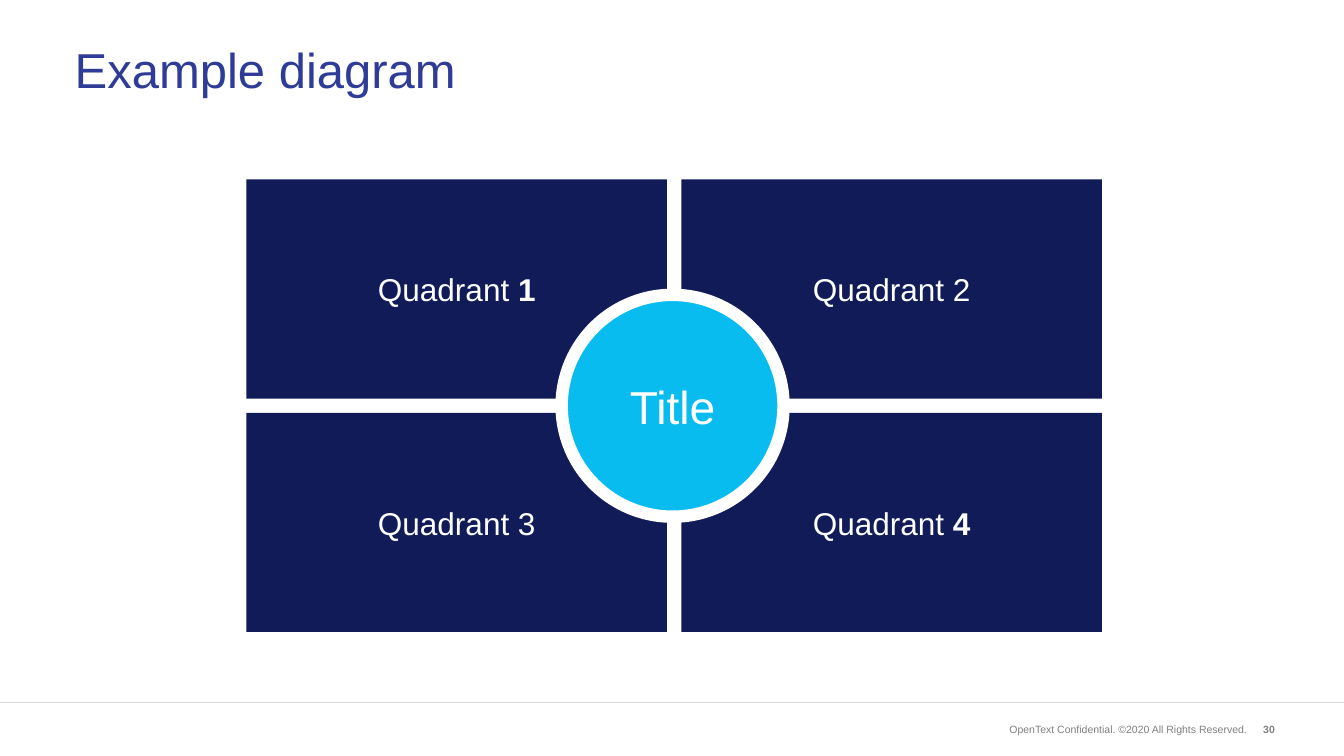
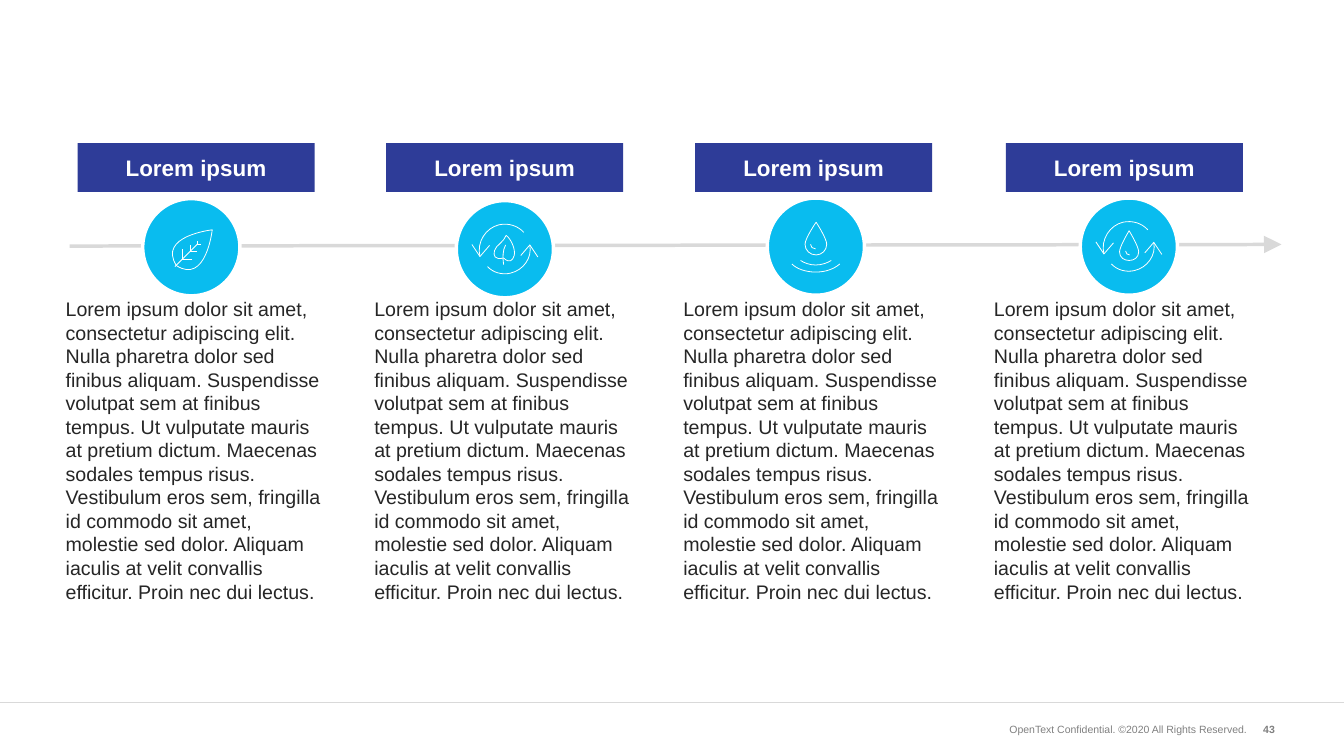
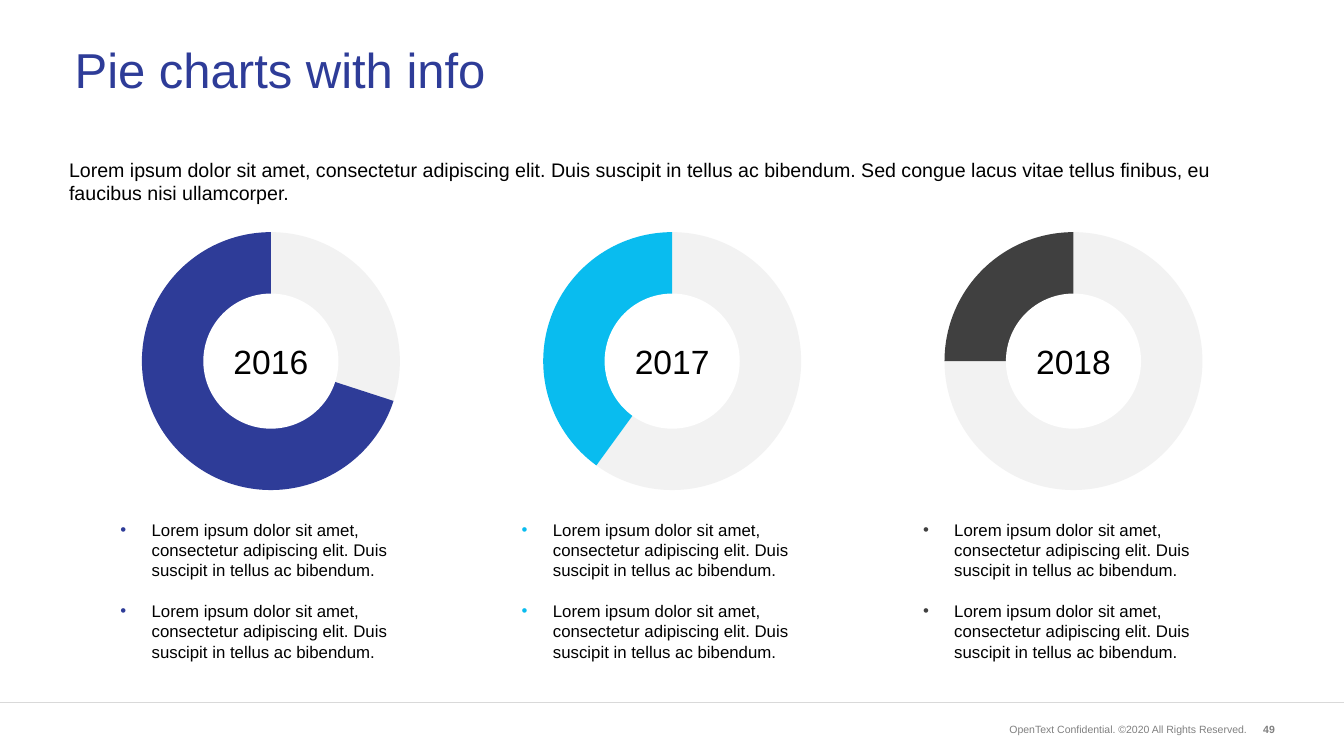
from lxml.etree import SubElement
from pptx import Presentation
from pptx.chart.data import CategoryChartData
from pptx.dml.color import RGBColor
from pptx.enum.chart import XL_CHART_TYPE
from pptx.enum.shapes import MSO_CONNECTOR, MSO_SHAPE
from pptx.enum.text import MSO_ANCHOR, MSO_AUTO_SIZE, PP_ALIGN
from pptx.oxml.ns import qn
from pptx.util import Cm, Pt

FONT = "Arial"
WIDE, HIGH = 67.72, 38.1
WHITE, BLACK = "FFFFFF", "000000"
NAVY, BLUE, CYAN = "111B58", "2E3C98", "09BCEF"
DARK, GREY, RULE, PALE = "404040", "808080", "D9D9D9", "F2F2F2"
BODY = "262626"
LEFT, MID, RIGHT = PP_ALIGN.LEFT, PP_ALIGN.CENTER, PP_ALIGN.RIGHT
TOP, HALF = MSO_ANCHOR.TOP, MSO_ANCHOR.MIDDLE

LOREM = "Lorem ipsum dolor sit amet, consectetur adipiscing elit. "
STORY = LOREM + (
    "Nulla pharetra dolor sed finibus aliquam. Suspendisse volutpat sem at "
    "finibus tempus. Ut vulputate mauris at pretium dictum. Maecenas sodales "
    "tempus risus. Vestibulum eros sem, fringilla id commodo sit amet, "
    "molestie sed dolor. Aliquam iaculis at velit convallis efficitur. "
    "Proin nec dui lectus.")
POINT = LOREM + "Duis suscipit in tellus ac bibendum."
INTRO = POINT + (" Sed congue lacus vitae tellus finibus, "
                 "eu faucibus nisi ullamcorper.")

GRID = 193
CYCLE = [
    ("line", [(31, 87), (47, 111), (66, 89)]),
    ("line", [(162, 112), (146, 88), (128, 109)]),
    ("curve", [(146, 88), (151, 114), (133, 138), (108, 144),
               (91, 148), (73, 143), (62, 131)]),
    ("curve", [(47, 111), (40, 82), (59, 54), (85, 48),
               (104, 44), (122, 50), (134, 63)]),
]
LEAF = [
    ("line", [(109, 90), (64, 135)]),
    ("curve", [(138, 62), (138, 62), (126, 171), (67, 133),
               (29, 74), (138, 62), (138, 62)]),
    ("line", [(98, 120), (79, 120), (79, 101)]),
    ("line", [(107, 105), (94, 105), (94, 92)]),
    ("line", [(115, 90), (109, 90), (109, 84)]),
]
SPROUT = CYCLE + [
    ("curve", [(76, 99), (73, 109), (76, 118), (94, 114), (106, 125),
               (112, 119), (115, 109), (118, 98), (109, 76), (99, 69),
               (94, 83), (79, 88), (76, 99)]),
    ("curve", [(94, 127), (92, 114), (92, 98), (98, 88)]),
]
POND = [
    ("curve", [(118, 92), (118, 104), (108, 113), (97, 113), (85, 113),
               (75, 104), (75, 92), (75, 80), (97, 48), (97, 48),
               (97, 48), (118, 80), (118, 92)]),
    ("curve", [(96, 101), (90, 101), (86, 97), (86, 92)]),
    ("curve", [(127, 124), (119, 129), (108, 133), (96, 133),
               (84, 133), (74, 129), (66, 124)]),
    ("curve", [(144, 131), (132, 141), (116, 147), (96, 147),
               (77, 147), (59, 141), (49, 131)]),
]
WATER = CYCLE + [
    ("curve", [(116, 107), (116, 118), (107, 124), (97, 124), (87, 124),
               (78, 118), (78, 107), (78, 96), (97, 65), (97, 65),
               (97, 65), (116, 96), (116, 107)]),
    ("curve", [(98, 113), (94, 113), (90, 110), (90, 105)]),
]


def ink(code):
    """Turn a hex string into a colour."""
    return RGBColor.from_string(code)


def style(run, size, color, bold=False):
    """Format one run."""
    font = run.font
    font.name, font.size, font.bold = FONT, Pt(size), bold
    font.color.rgb = ink(color)


def write(shape, text, size, color, bold=False, align=LEFT, anchor=HALF,
          pad=(0.25, 0.13)):
    """Fill a shape with one formatted paragraph and return it."""
    frame = shape.text_frame
    frame.text = text
    frame.word_wrap = True
    frame.auto_size = MSO_AUTO_SIZE.NONE
    frame.vertical_anchor = anchor
    frame.margin_left = frame.margin_right = Cm(pad[0])
    frame.margin_top = frame.margin_bottom = Cm(pad[1])
    para = frame.paragraphs[0]
    para.alignment = align
    style(para.runs[0], size, color, bold)
    return para


def label(slide, box, *args, **look):
    """Add a text box and return its paragraph."""
    return write(slide.shapes.add_textbox(*map(Cm, box)), *args, **look)


def block(shapes, kind, box, fill, edge=0):
    """Add a flat filled shape with an optional white edge."""
    shape = shapes.add_shape(kind, *map(Cm, box))
    shape.shadow.inherit = False
    shape.fill.solid()
    shape.fill.fore_color.rgb = ink(fill)
    if edge:
        shape.line.color.rgb = ink(WHITE)
        shape.line.width = Pt(edge)
    else:
        shape.line.fill.background()
    return shape


def rule(slide, ends, width, arrow=False):
    """Draw a grey line, with an arrowhead if asked."""
    line = slide.shapes.add_connector(MSO_CONNECTOR.STRAIGHT, *map(Cm, ends))
    line.line.color.rgb = ink(RULE)
    line.line.width = Pt(width)
    if arrow:
        SubElement(line.line._get_or_add_ln(), qn("a:tailEnd"),
                   type="triangle", w="lg", len="lg")
    SubElement(line._element.spPr, qn("a:effectLst"))


def start(deck, page, title=None):
    """Add a slide with its footer and title."""
    slide = deck.slides.add_slide(deck.slide_layouts[5 if title else 6])
    label(slide, (49.45, 36.32, 13.64, 0.89),
          "OpenText Confidential. ©2020 All Rights Reserved.", 15, GREY,
          align=RIGHT)
    label(slide, (62.69, 36.32, 1.8, 0.89), str(page), 15, GREY, bold=True,
          align=RIGHT, anchor=TOP)
    rule(slide, (0, 35.41, WIDE, 35.41), 1)
    if title:
        head = slide.shapes.title
        head.left, head.top, head.width, head.height = map(
            Cm, (3.51, 0.97, 60.73, 5.38))
        write(head, title, 70, BLUE).line_spacing = 0.9
    return slide


def quads(slide, box, gap=0.72):
    """Draw four quadrants around a central disc."""
    x, y, w, h = box
    wide, high = (w - gap) / 2, (h - gap) / 2
    for i, (text, tail) in enumerate((
            ("Quadrant", " 1"), ("Quadrant 2", ""),
            ("Quadrant 3", ""), ("Quadrant", " 4"))):
        row, col = divmod(i, 2)
        spot = x + col * (wide + gap), y + row * (high + gap), wide, high
        tile = block(slide.shapes, MSO_SHAPE.RECTANGLE, spot, NAVY)
        para = write(tile, text, 45, WHITE, align=MID, pad=(0.69, 0.33))
        if tail:
            run = para.add_run()
            run.text = tail
            style(run, 45, WHITE, bold=True)
    disc = block(slide.shapes, MSO_SHAPE.OVAL,
                 (x + 15.88, y + 5.82, 11.18, 11.18), CYAN, 17.75)
    write(disc, "Title", 66, WHITE, align=MID, pad=(0.69, 0.33))


def bend(knots, steps=12):
    """Sample a chain of cubic curves."""
    spots = [knots[0]]
    for i in range(0, len(knots) - 1, 3):
        for n in range(1, steps + 1):
            t = n / steps
            u = 1 - t
            mix = u ** 3, 3 * u * u * t, 3 * u * t * t, t ** 3
            spots.append(tuple(
                sum(m * k[axis] for m, k in zip(mix, knots[i:i + 4]))
                for axis in (0, 1)))
    return spots


def smooth(mark, knots):
    """Swap the sampled outline for true cubic curves."""
    trace = mark._element.find(".//" + qn("a:path"))
    for step in list(trace):
        trace.remove(step)
    move = SubElement(trace, qn("a:moveTo"))
    for i, (a, b) in enumerate(knots):
        if i % 3 == 1:
            move = SubElement(trace, qn("a:cubicBezTo"))
        SubElement(move, qn("a:pt"), x=str(a - mark.left),
                   y=str(b - mark.top))
    if knots[0] == knots[-1]:
        SubElement(trace, qn("a:close"))


def badge(slide, x, y, size, icon):
    """Draw a round badge holding a line icon."""
    shapes = slide.shapes.add_group_shape().shapes
    block(shapes, MSO_SHAPE.OVAL, (x, y, size, size), CYAN, 5)
    unit = size / GRID
    for kind, plan in icon:
        knots = [(Cm(x + a * unit), Cm(y + b * unit)) for a, b in plan]
        curved = kind == "curve"
        spots = bend(knots) if curved else knots
        pen = shapes.build_freeform(*spots[0])
        pen.add_line_segments(spots[1:], close=False)
        mark = pen.convert_to_shape()
        if curved:
            smooth(mark, knots)
        mark.shadow.inherit = False
        mark.fill.background()
        mark.line.color.rgb = ink(WHITE)
        mark.line.width = Pt(1.13)


def stage(slide, x, y):
    """Draw one heading band with its story below."""
    band = block(slide.shapes, MSO_SHAPE.ROUNDED_RECTANGLE,
                 (x, y, 11.94, 2.46), BLUE)
    band.adjustments[0] = 0
    write(band, "Lorem ipsum", 32, WHITE, bold=True, align=MID)
    label(slide, (x - 0.6, y + 7.76, 13.13, 18.67), STORY, 28, BODY,
          anchor=TOP, pad=(0, 0))


def steps(slide, x, y):
    """Draw the timeline with four stages."""
    rule(slide, (x - 0.4, y + 5.19, x + 60.66, y + 5.11), 5, arrow=True)
    for left in (0, 15.55, 31.12, 46.77):
        stage(slide, x + left, y)
    for left, drop, icon in ((3.28, 2.8, LEAF), (19.08, 2.9, SPROUT),
                             (34.75, 2.77, POND), (50.52, 2.77, WATER)):
        badge(slide, x + left, y + drop, 4.9, icon)


def pie(slide, box, share, color):
    """Add a two-part pie filling its box."""
    data = CategoryChartData()
    data.categories = ["1", "2"]
    data.add_series("Series 1", (100 - share, share))
    chart = slide.shapes.add_chart(XL_CHART_TYPE.PIE, *map(Cm, box),
                                   data).chart
    chart.has_legend = chart.has_title = False
    chart.font.name, chart.font.size = FONT, Pt(10)
    chart.font.color.rgb = ink(BLACK)
    plot = chart.plots[0]
    plot.vary_by_categories = False
    for i, code in enumerate((PALE, color)):
        part = plot.series[0].points[i].format
        part.fill.solid()
        part.fill.fore_color.rgb = ink(code)
        part.line.fill.background()
    area = chart._chartSpace.chart.plotArea
    for old in area.findall(qn("c:layout")):
        area.remove(old)
    frame = SubElement(area, qn("c:layout"))
    area.insert(0, frame)
    inner = SubElement(frame, qn("c:manualLayout"))
    wide, high = 13 / box[2], 13 / box[3]
    for tag, val in (("layoutTarget", "inner"), ("xMode", "edge"),
                     ("yMode", "edge"), ("x", (1 - wide) / 2),
                     ("y", (1 - high) / 2), ("w", wide), ("h", high)):
        SubElement(inner, qn(f"c:{tag}"), val=str(val))


def bullet(para, color):
    """Give a paragraph a coloured bullet and hanging indent."""
    props = para._p.get_or_add_pPr()
    props.set("marL", str(Cm(1.57)))
    props.set("indent", str(-Cm(1.57)))
    tint = SubElement(props, qn("a:buClr"))
    SubElement(tint, qn("a:srgbClr"), val=color)
    SubElement(props, qn("a:buFont"), typeface=FONT)
    SubElement(props, qn("a:buChar"), char="•")


def year(slide, x, y, name, share, color):
    """Draw one ring with its year and two points."""
    wide, high, hub = 15.16, 13.74, 6.81
    pie(slide, (x, y, wide, high), share, color)
    disc = block(slide.shapes, MSO_SHAPE.OVAL,
                 (x + (wide - hub) / 2, y + (high - hub) / 2, hub, hub), WHITE)
    write(disc, name, 48, BLACK, align=MID)
    for i in range(2):
        para = label(slide, (x, y + 14.83 + i * 4.12, wide, 3.07), POINT, 24,
                     BLACK, pad=(0, 0))
        bullet(para, color)


def main():
    """Build the deck."""
    deck = Presentation()
    deck.slide_width, deck.slide_height = Cm(WIDE), Cm(HIGH)
    quads(start(deck, 30, "Example diagram"), (12.42, 9.04, 43.1, 22.81))
    steps(start(deck, 43), 3.91, 7.21)
    slide = start(deck, 49, "Pie charts with info")
    label(slide, (3.48, 7.95, 60.73, 2.39), INTRO, 28, BLACK, anchor=TOP,
          pad=(0, 0))
    for i, (name, share, color) in enumerate((
            ("2016", 70, BLUE), ("2017", 40, CYAN), ("2018", 25, DARK))):
        year(slide, 6.07 + i * 20.22, 11.33, name, share, color)
    deck.save("out.pptx")


if __name__ == "__main__":
    main()
